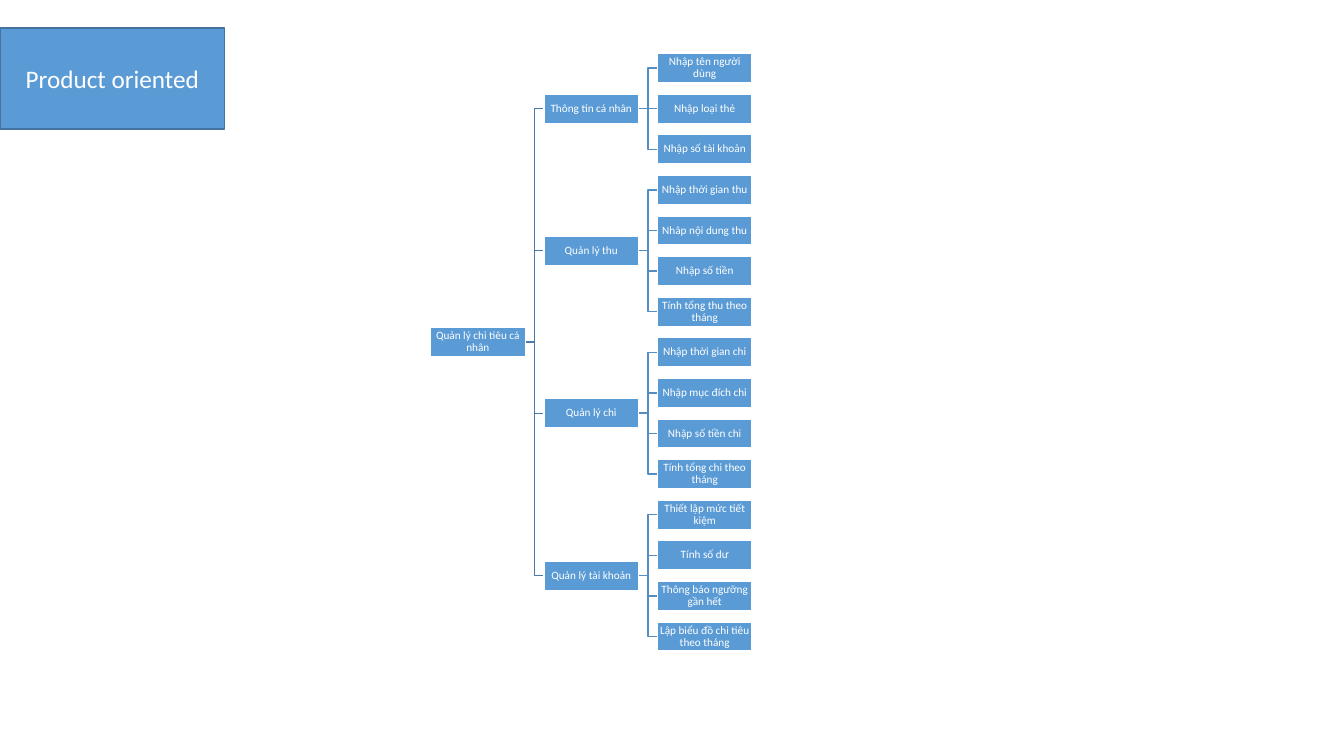
from lxml import etree
from pptx import Presentation
from pptx.dml.color import RGBColor
from pptx.enum.shapes import MSO_CONNECTOR, MSO_SHAPE
from pptx.enum.text import MSO_ANCHOR, PP_ALIGN
from pptx.oxml.ns import qn
from pptx.util import Inches, Pt

RECT = MSO_SHAPE.RECTANGLE
STRAIGHT, ELBOW = MSO_CONNECTOR.STRAIGHT, MSO_CONNECTOR.ELBOW
MIDDLE, CENTER = MSO_ANCHOR.MIDDLE, PP_ALIGN.CENTER
LEFT_SIDE, RIGHT_SIDE = 1, 3

WHITE = RGBColor(0xFF, 0xFF, 0xFF)
BLUE = RGBColor(0x5B, 0x9B, 0xD5)
EDGE = RGBColor(0x43, 0x73, 0x9E)
TRUNK = RGBColor(0x49, 0x7C, 0xAB)
TWIG = RGBColor(0x53, 0x8D, 0xC1)
FONT = "Calibri"

NODE_W, NODE_H = 0.94, 0.29
ROOT = "Quản lý chi tiêu cá nhân"
BRANCHES = {
    "Thông tin cá nhân": [
        "Nhập tên người dùng", "Nhập loại thẻ", "Nhập số tài khoản"],
    "Quản lý thu": [
        "Nhập thời gian thu", "Nhâp nội dung thu", "Nhập số tiền",
        "Tính tổng thu theo tháng"],
    "Quản lý chi": [
        "Nhập thời gian chi", "Nhập mục đích chi", "Nhập số tiền chi",
        "Tính tổng chi theo tháng"],
    "Quản lý tài khoản": [
        "Thiết lập mức tiết kiệm", "Tính số dư",
        "Thông báo ngưỡng gần hết", "Lập biểu đồ chi tiêu theo tháng"],
}


def add_box(slide, left, top, width, height, text, size, edge):
    box = slide.shapes.add_shape(
        RECT, Inches(left), Inches(top), Inches(width), Inches(height))
    box.shadow.inherit = False
    box.fill.solid()
    box.fill.fore_color.rgb = BLUE
    box.line.color.rgb = edge
    box.line.width = Pt(1)
    frame = box.text_frame
    frame.word_wrap = True
    frame.vertical_anchor = MIDDLE
    frame.text = text
    para = frame.paragraphs[0]
    para.alignment = CENTER
    font = para.runs[0].font
    font.name, font.size, font.color.rgb = FONT, Pt(size), WHITE
    return box


def add_node(slide, left, top, text):
    node = add_box(slide, left, top, NODE_W, NODE_H, text, 8, WHITE)
    frame = node.text_frame
    frame.margin_left = frame.margin_right = Inches(0.01)
    frame.margin_top = frame.margin_bottom = Inches(0.01)
    frame.paragraphs[0].line_spacing = 0.9
    return node


def add_link(slide, parent, child, color, front):
    """Join parent to child, stacked just behind the front shape."""
    level = abs(parent.top - child.top) < Inches(0.01)
    link = slide.shapes.add_connector(STRAIGHT if level else ELBOW, 0, 0, 0, 0)
    link.begin_connect(parent, RIGHT_SIDE)
    link.end_connect(child, LEFT_SIDE)
    link.line.color.rgb = color
    link.line.width = Pt(1)
    etree.SubElement(link._element.spPr, qn("a:effectLst"))
    front._element.addprevious(link._element)


def add_tree(slide, left, top, width, height):
    """Spread leaves evenly and centre each parent on its children."""
    count = sum(len(leaves) for leaves in BRANCHES.values())
    row = (height - NODE_H) / (count - 1)
    col = (width - NODE_W) / 2

    tops, start = [], 0
    for leaves in BRANCHES.values():
        tops.append(top + row * (start + (len(leaves) - 1) / 2))
        start += len(leaves)

    root = add_node(slide, left, (tops[0] + tops[-1]) / 2, ROOT)
    index = 0
    for (name, leaves), y in zip(BRANCHES.items(), tops):
        branch = add_node(slide, left + col, y, name)
        add_link(slide, root, branch, TRUNK, root)
        for text in leaves:
            leaf = add_node(slide, left + 2 * col, top + row * index, text)
            add_link(slide, branch, leaf, TWIG, root)
            index += 1


def main():
    deck = Presentation()
    deck.slide_width, deck.slide_height = Inches(13.33), Inches(7.5)
    slide = deck.slides.add_slide(deck.slide_layouts[6])
    add_tree(slide, 4.27, 0.53, 3.19, 5.93)
    add_box(slide, 0, 0.28, 2.23, 1, "Product oriented", 18, EDGE)
    deck.save("out.pptx")


if __name__ == "__main__":
    main()
